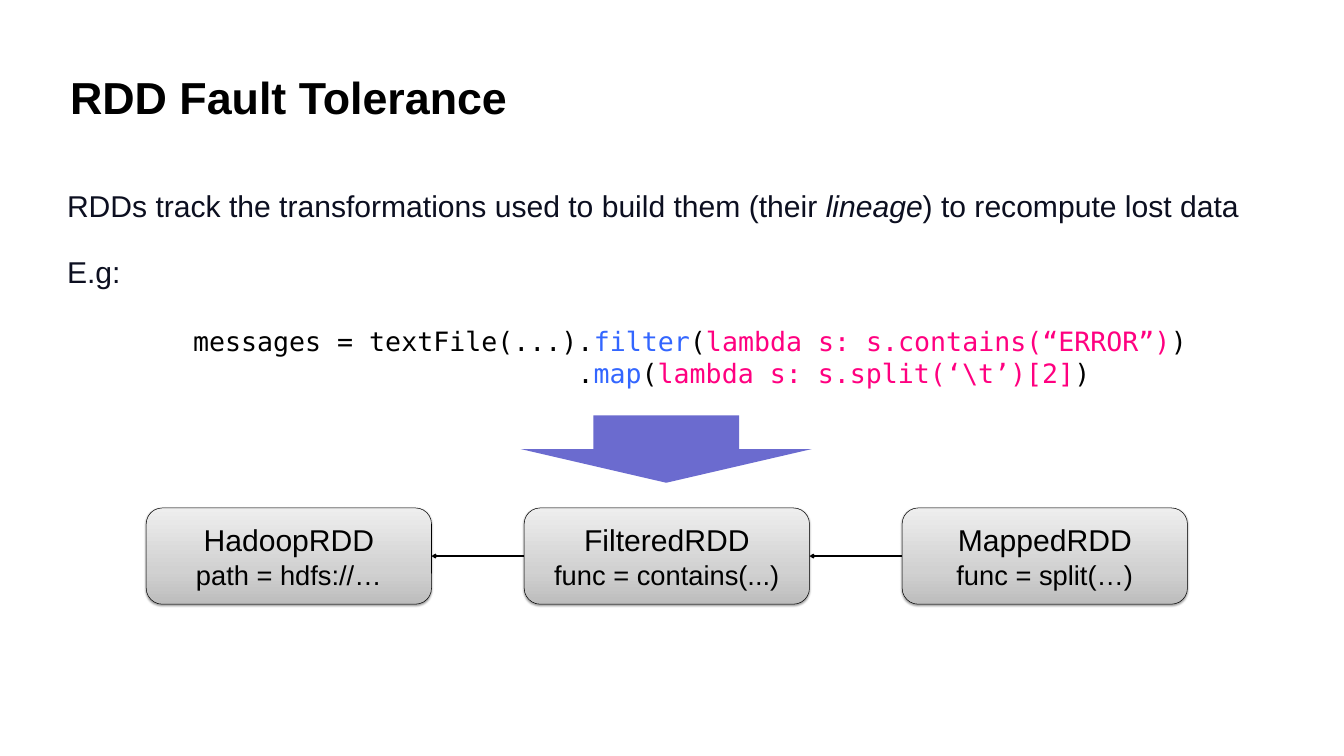
from copy import deepcopy
from dataclasses import dataclass

from lxml.etree import SubElement
from pptx import Presentation
from pptx.dml.color import RGBColor
from pptx.enum.shapes import MSO_CONNECTOR, MSO_SHAPE
from pptx.enum.text import MSO_ANCHOR, PP_ALIGN
from pptx.oxml.ns import qn
from pptx.util import Cm, Pt


@dataclass(frozen=True)
class Theme:
    sans: str = "Arial"
    mono: str = "DejaVu Sans Mono"
    black: str = "000000"
    body: str = "0C0F20"
    method: str = "3366FF"
    argument: str = "FF0080"
    arrow: str = "6B6BCF"
    gradient: tuple = ((0, "BDBDBD"), (0.35, "D1D1D1"), (1, "EEEEEE"))
    title_size: int = 64
    body_size: int = 43
    detail_size: int = 39
    code_size: int = 38


theme = Theme()


def add_run(para, text, size, color, font=theme.sans):
    span = para.add_run()
    span.text = text
    span.font.size = Pt(size)
    span.font.name = font
    span.font.color.rgb = RGBColor.from_string(color)
    return span


def set_frame(shape, horizontal, vertical, anchor):
    frame = shape.text_frame
    frame.word_wrap = True
    frame.margin_left = frame.margin_right = Cm(horizontal)
    frame.margin_top = frame.margin_bottom = Cm(vertical)
    frame.vertical_anchor = anchor
    return frame


deck = Presentation()
deck.slide_width, deck.slide_height = Cm(67.74), Cm(38.1)
page = deck.slides.add_slide(deck.slide_layouts[5])
shapes = page.shapes

title = shapes.title
title.left, title.top, title.width, title.height = Cm(3.38), Cm(1.7), Cm(60.96), Cm(6.35)
para = set_frame(title, 0.15, 0.15, MSO_ANCHOR.MIDDLE).paragraphs[0]
para.alignment = PP_ALIGN.LEFT
add_run(para, "RDD Fault Tolerance", theme.title_size, theme.black).font.bold = True

down_arrow = shapes.add_shape(MSO_SHAPE.DOWN_ARROW, Cm(26.24), Cm(20.93), Cm(14.68), Cm(3.4))
down_arrow.shadow.inherit = False
down_arrow.fill.solid()
down_arrow.fill.fore_color.rgb = RGBColor.from_string(theme.arrow)
down_arrow.line.fill.background()

explanation = shapes.add_textbox(Cm(3.38), Cm(9.45), Cm(61.52), Cm(5.8))
frame = set_frame(explanation, 0, 0, MSO_ANCHOR.TOP)
para = frame.paragraphs[0]
for text, italic in (
    ("RDDs track the transformations used to build them (their ", False),
    ("lineage", True),
    (") to recompute lost data", False),
):
    add_run(para, text, theme.body_size, theme.body).font.italic = italic
para = frame.add_paragraph()
add_run(para, "E.g:", theme.body_size, theme.body)
for para in frame.paragraphs:
    para.space_before = Pt(theme.body_size)

code_lines = (
    (0, "messages = textFile(...).", "filter", "lambda s: s.contains(“ERROR”)"),
    (19.38, ".", "map", "lambda s: s.split(‘\\t’)[2]"),
)
code = shapes.add_textbox(Cm(9.12), Cm(16.08), Cm(56.08), Cm(5.49))
frame = set_frame(code, 0.61, 0.3, MSO_ANCHOR.TOP)
for index, (indent, start, method, argument) in enumerate(code_lines):
    para = frame.add_paragraph() if index else frame.paragraphs[0]
    para._p.get_or_add_pPr().set("marL", str(Cm(indent)))
    for text, color in (
        (start, theme.black),
        (method, theme.method),
        ("(", theme.black),
        (argument, theme.argument),
        (")", theme.black),
    ):
        add_run(para, text, theme.code_size, color, theme.mono)

stages = (
    ("HadoopRDD", "path = hdfs://…"),
    ("FilteredRDD", "func = contains(...)"),
    ("MappedRDD", "func = split(…)"),
)
boxes = []
for index, (name, detail) in enumerate(stages):
    box = shapes.add_shape(
        MSO_SHAPE.ROUNDED_RECTANGLE, Cm(7.37 + index * 19.05), Cm(25.6), Cm(14.38), Cm(4.85)
    )
    box.fill.gradient()
    box.fill.gradient_angle = 90
    properties = box._element.spPr
    stop_list = properties.find(".//" + qn("a:gsLst"))
    stop_list.append(deepcopy(stop_list[0]))
    for stop, (position, color) in zip(box.fill.gradient_stops, theme.gradient):
        stop.position = position
        stop.color.rgb = RGBColor.from_string(color)
    box.line.color.rgb = RGBColor.from_string(theme.black)
    box.line.width = Pt(0.75)
    box.shadow.inherit = False
    shadow = SubElement(
        properties.find(qn("a:effectLst")), qn("a:outerShdw"),
        blurRad=str(Pt(3.1)), dist=str(Pt(1.6)), dir="5400000", rotWithShape="0",
    )
    shadow_color = SubElement(shadow, qn("a:srgbClr"), val=theme.black)
    SubElement(shadow_color, qn("a:alpha"), val="38000")

    frame = set_frame(box, 0, 0.13, MSO_ANCHOR.MIDDLE)
    add_run(frame.paragraphs[0], name, theme.body_size, theme.black)
    add_run(frame.add_paragraph(), detail, theme.detail_size, theme.black)
    for para in frame.paragraphs:
        para.alignment = PP_ALIGN.CENTER
    boxes.append(box)

for parent, child in zip(boxes, boxes[1:]):
    link = shapes.add_connector(MSO_CONNECTOR.STRAIGHT, 0, 0, 0, 0)
    link.begin_connect(child, 1)
    link.end_connect(parent, 3)
    link.line.color.rgb = RGBColor.from_string(theme.black)
    link.line.width = Pt(2)
    SubElement(link.line._get_or_add_ln(), qn("a:tailEnd"), type="arrow")
    SubElement(link._element.spPr, qn("a:effectLst"))

deck.save("out.pptx")
